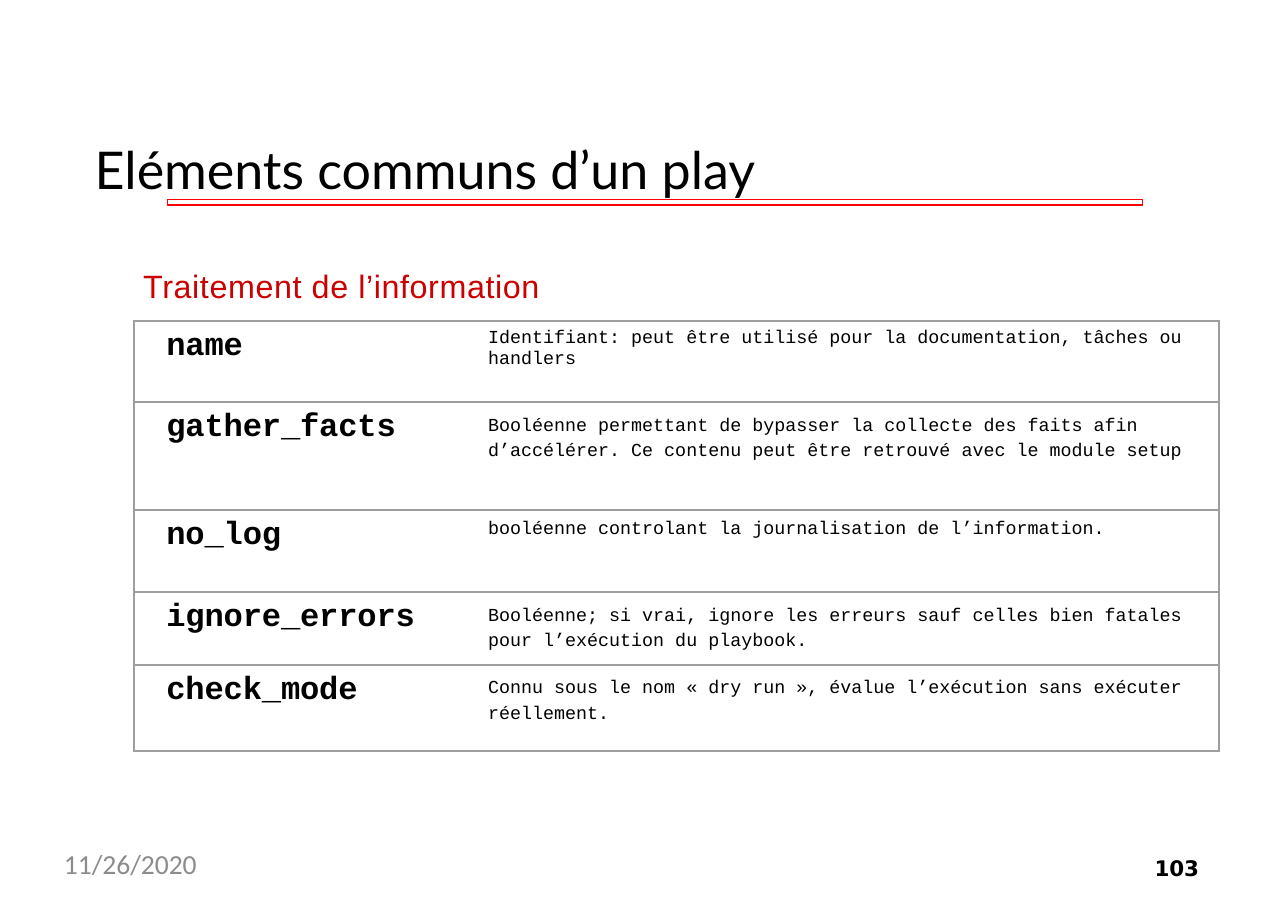
from dataclasses import dataclass

from lxml.etree import SubElement
from pptx import Presentation
from pptx.dml.color import RGBColor
from pptx.enum.shapes import MSO_SHAPE
from pptx.enum.text import MSO_ANCHOR, MSO_AUTO_SIZE, PP_ALIGN
from pptx.oxml.ns import qn
from pptx.util import Inches, Pt


@dataclass(frozen=True)
class Style:
    font: str
    size: float
    color: str
    bold: bool = False
    tracking: float = 0


@dataclass(frozen=True)
class Theme:
    title: Style = Style("Lato", 34, "000000")
    heading: Style = Style("Arial", 21.1, "CC0000", tracking=0.4)
    keyword: Style = Style("Courier New", 21, "000000", True, -0.1)
    description: Style = Style("Courier New", 12, "000000")
    date: Style = Style("Calibri", 18, "8C8C8C")
    number: Style = Style("DejaVu Sans", 14, "000000", True, -0.1)
    rule: str = "FB0203"
    border: str = "9E9E9E"
    border_width: float = 1.5


THEME = Theme()

# Keyword, description, row height in inches, top inset of the description
# in inches, line spacing of the description in points.
PLAY_ELEMENTS = [
    ("name",
     "Identifiant: peut être utilisé pour la documentation, tâches ou handlers",
     0.74, 0.07, None),
    ("gather_facts",
     "Booléenne permettant de bypasser la collecte des faits afin d’accélérer. "
     "Ce contenu peut être retrouvé avec le module setup",
     0.98, 0.09, 16.5),
    ("no_log",
     "booléenne controlant la journalisation de l’information.",
     0.74, 0.08, None),
    ("ignore_errors",
     "Booléenne; si vrai, ignore les erreurs sauf celles bien fatales "
     "pour l’exécution du playbook.",
     0.67, 0.09, 16.5),
    ("check_mode",
     "Connu sous le nom « dry run », évalue l’exécution sans exécuter réellement.",
     0.78, 0.08, 16.5),
]


def write(frame, text, style):
    frame.text = text
    paragraph = frame.paragraphs[0]
    paragraph.alignment = PP_ALIGN.LEFT
    for run in paragraph.runs:
        run.font.name = style.font
        run.font.size = Pt(style.size)
        run.font.bold = style.bold
        run.font.color.rgb = RGBColor.from_string(style.color)
        if style.tracking:
            run.font._element.set("spc", str(round(style.tracking * 100)))
    return paragraph


def fit_frame(frame, left=0, top=0):
    frame.margin_left, frame.margin_top = Inches(left), Inches(top)
    frame.margin_right = frame.margin_bottom = 0
    frame.word_wrap = True
    frame.auto_size = MSO_AUTO_SIZE.SHAPE_TO_FIT_TEXT


def add_label(slide, box, text, style, left=0, top=0):
    label = slide.shapes.add_textbox(*map(Inches, box))
    fit_frame(label.text_frame, left, top)
    write(label.text_frame, text, style)


def add_title(slide, box, text):
    """Fill the title and draw the hollow rule that underlines it."""
    left, top, width, height = box
    title = slide.shapes.title
    title.left, title.top, title.width, title.height = map(Inches, box)
    fit_frame(title.text_frame, 0.01, 0.01)
    title.text_frame.vertical_anchor = MSO_ANCHOR.MIDDLE
    write(title.text_frame, text, THEME.title)

    rule = slide.shapes.add_shape(
        MSO_SHAPE.RECTANGLE, Inches(left + 0.67), Inches(top + 0.57),
        Inches(8.85), Inches(0.05))
    rule.shadow.inherit = False
    rule.fill.background()
    rule.line.color.rgb = RGBColor.from_string(THEME.rule)
    rule.line.width = Pt(1)


def set_borders(cell, visible):
    """Draw the sides named in visible (L, R, T, B) and clear the others."""
    properties = cell._tc.get_or_add_tcPr()
    for side in "LRTB":
        line = SubElement(properties, qn(f"a:ln{side}"))
        if side in visible:
            line.set("w", str(Pt(THEME.border_width)))
            fill = SubElement(line, qn("a:solidFill"))
            SubElement(fill, qn("a:srgbClr")).set("val", THEME.border)
        else:
            line.set("w", "0")
            SubElement(line, qn("a:noFill"))


def fill_cell(cell, text, style, left, top, borders):
    cell.margin_left, cell.margin_top = Inches(left), Inches(top)
    cell.margin_right = cell.margin_bottom = 0
    set_borders(cell, borders)
    cell.fill.background()
    return write(cell.text_frame, text, style)


def add_elements_table(slide, box):
    left, top, width, height = box
    keyword_width = 2.85
    table = slide.shapes.add_table(
        len(PLAY_ELEMENTS), 2, *map(Inches, box)).table
    table.first_row = table.horz_banding = False
    table.columns[0].width = Inches(keyword_width)
    table.columns[1].width = Inches(width - keyword_width)

    for index, element in enumerate(PLAY_ELEMENTS):
        keyword, description, row_height, inset, spacing = element
        table.rows[index].height = Inches(row_height)
        fill_cell(table.cell(index, 0), keyword, THEME.keyword,
                  0.29, 0.07, "LTB")
        paragraph = fill_cell(table.cell(index, 1), description,
                              THEME.description, 0.36, inset, "RTB")
        if spacing:
            paragraph.line_spacing = Pt(spacing)


def add_footer(slide, box, date, number):
    left, top, width, height = box
    add_label(slide, (left, top, 2.69, height), date, THEME.date)
    number_width = 0.98
    add_label(slide, (left + width - number_width, top + 0.07,
                      number_width, 0.34), number, THEME.number, left=0.03)


def build_play_slide(deck):
    slide = deck.slides.add_slide(deck.slide_layouts[5])
    add_title(slide, (0.85, 1.24, 7.93, 0.58), "Eléments communs d’un play")
    add_label(slide, (1.29, 2.41, 3.82, 0.37), "Traitement de l’information",
              THEME.heading, left=0.01, top=0.01)
    add_elements_table(slide, (1.22, 2.91, 9.84, 3.91))
    add_footer(slide, (0.58, 7.69, 10.85, 0.41), "11/26/2020", "103")


def main():
    deck = Presentation()
    deck.slide_width, deck.slide_height = Inches(11.69), Inches(8.26)
    build_play_slide(deck)
    deck.save("out.pptx")


if __name__ == "__main__":
    main()
